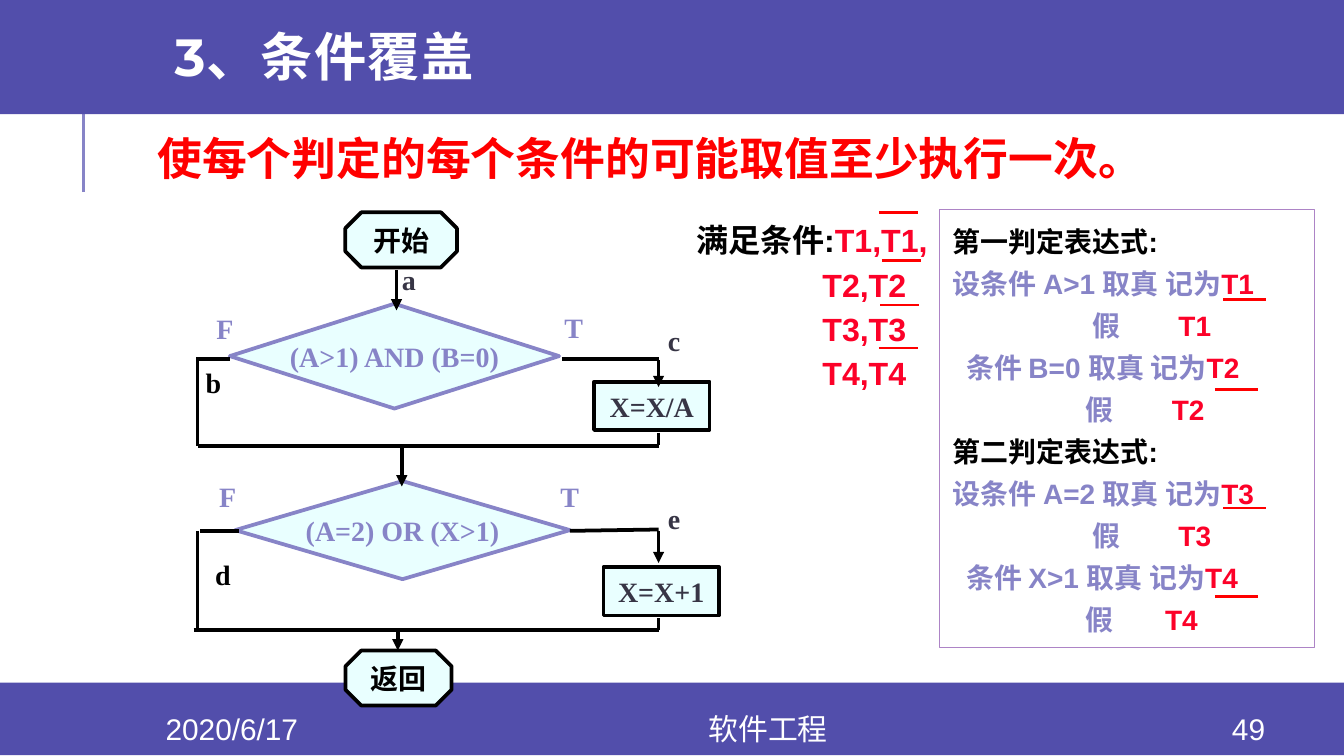
from lxml import etree
from pptx import Presentation
from pptx import util as u
from pptx.dml import color
from pptx.enum import shapes, text
from pptx.oxml import ns

INK = dict(bar="524EAB", rule="8784C7", edge="AD84C6", pale="E9FFFF", dark="373545",
           black="000000", white="FFFFFF", red="FF0000", rose="FC0128")
CJK = "Noto Sans CJK SC"
ROMAN = "Times New Roman"
SLIM = (0.07, 0.04)
KIND = shapes.MSO_SHAPE
LEFT, MID, JUST = text.PP_ALIGN.LEFT, text.PP_ALIGN.CENTER, text.PP_ALIGN.JUSTIFY


def rgb(name):
    return color.RGBColor.from_string(INK[name])


def inch(*nums):
    return [u.Inches(n) for n in nums]


def add_run(para, words, hue, size, face="Arial", bold=True):
    run = para.add_run()
    run.text = words
    font = run.font
    font.size, font.bold, font.name = u.Pt(size), bold, face
    font.color.rgb = rgb(hue)
    props = run._r.get_or_add_rPr()
    etree.SubElement(props, ns.qn("a:ea")).set("typeface", CJK)
    return props


def set_frame(shape, pad=(0.1, 0.05), anchor="TOP", wrap=True):
    frame = shape.text_frame
    frame.word_wrap = wrap
    frame.auto_size = text.MSO_AUTO_SIZE.NONE
    frame.vertical_anchor = getattr(text.MSO_ANCHOR, anchor)
    frame.margin_left = frame.margin_right = u.Inches(pad[0])
    frame.margin_top = frame.margin_bottom = u.Inches(pad[1])
    return frame


def add_text(slide, box, **look):
    return set_frame(slide.shapes.add_textbox(*inch(*box)), **look)


def next_para(frame, index, spacing, indent=0, tabs=()):
    para = frame.add_paragraph() if index else frame.paragraphs[0]
    para.alignment, para.line_spacing = LEFT, spacing
    props = para._p.get_or_add_pPr()
    if indent:
        props.set("marL", str(u.Inches(indent)))
    if tabs:
        stops = etree.SubElement(props, ns.qn("a:tabLst"))
        for stop in tabs:
            tab = etree.SubElement(stops, ns.qn("a:tab"))
            tab.set("pos", str(u.Inches(stop)))
            tab.set("algn", "l")
    return para


def add_box(slide, kind, box, fill=None, edge=None, width=2):
    shape = slide.shapes.add_shape(kind, *inch(*box))
    shape.shadow.inherit = False
    if fill:
        shape.fill.solid()
        shape.fill.fore_color.rgb = rgb(fill)
    else:
        shape.fill.background()
    if edge:
        shape.line.color.rgb = rgb(edge)
        shape.line.width = u.Pt(width)
    else:
        shape.line.fill.background()
    return shape


def add_line(slide, ends, hue, width, arrow=False):
    line = slide.shapes.add_connector(shapes.MSO_CONNECTOR.STRAIGHT, *inch(*ends))
    line.line.color.rgb = rgb(hue)
    line.line.width = u.Pt(width)
    if arrow:
        tail = etree.SubElement(line.line._get_or_add_ln(), ns.qn("a:tailEnd"))
        tail.set("type", "triangle")
    etree.SubElement(line._element.spPr, ns.qn("a:effectLst"))


def add_bars(slide, left, top, size, spots):
    """Draw the red negation bars over condition names."""
    for x, y in spots:
        add_line(slide, (left + x, top + y, left + x + size, top + y), "red", 1.5)


def head(slide, left, top, width, height):
    add_line(slide, (left + 0.62, top + 1.46, left + 0.62, top + 0.71), "rule", 1.5)
    add_box(slide, KIND.RECTANGLE, (left, top, width, height), "bar")
    title = add_text(slide, (left + 1.2, top + 0.03, 8.49, 0.91), anchor="MIDDLE")
    para = next_para(title, 0, 0.8)
    add_run(para, "3、条件覆盖", "white", 28, "Montserrat").set("spc", "80")
    lead = add_text(slide, (left + 1.1, top + 0.92, 7.71, 1.2), pad=SLIM)
    para = next_para(lead, 0, 1.1)
    para.alignment = JUST
    add_run(para, "使每个判定的每个条件的可能取值至少执行一次。", "red", 24)
    add_bars(slide, left, top, 0.29, [(5.53, 1.29)])


def foot(slide, left, top, width, height):
    add_box(slide, KIND.RECTANGLE, (left, top, width, height), "bar")
    for x, wide, words in ((0.84, 1.77, "2020/6/17"), (2.61, 6.21, "软件工程"), (8.89, 0.8, "49")):
        frame = add_text(slide, (left + x, top + 0.23, wide, 0.23), anchor="MIDDLE")
        para = frame.paragraphs[0]
        para.alignment = MID
        add_run(para, words, "white", 16, bold=False)


def chart(slide, left, top):
    """Draw the flow chart with its two decisions."""
    cap = (KIND.OCTAGON, "black", "black", CJK)
    test = (KIND.DIAMOND, "rule", "rule", ROMAN)
    step = (KIND.RECTANGLE, "black", "dark", ROMAN)
    nodes = [
        (cap, 1.13, 0, 0.83, 0.41, "开始"),
        (test, 0.27, 0.68, 2.45, 0.78, "(A>1) AND (B=0)"),
        (test, 0.31, 2, 2.49, 0.73, "(A=2) OR (X>1)"),
        (cap, 1.13, 3.26, 0.79, 0.41, "返回"),
        (step, 2.98, 1.26, 0.86, 0.36, "X=X/A"),
        (step, 3.05, 2.64, 0.86, 0.36, "X=X+1"),
    ]
    for (kind, edge, hue, face), x, y, wide, high, words in nodes:
        node = add_box(slide, kind, (left + x, top + y, wide, high), "pale", edge)
        if kind == KIND.OCTAGON:
            node.adjustments[0] = 0.29
        para = set_frame(node, anchor="MIDDLE", wrap=False).paragraphs[0]
        para.alignment = MID
        add_run(para, words, hue, 15, face)

    west, east = 0.03, 3.46
    arrows = [
        (1.51, 0.43, 1.51, 0.73), (1.55, 1.74, 1.55, 2.04), (1.52, 3.11, 1.52, 3.26),
        (east, 1.1, east, 1.3), (east, 2.37, east, 2.61),
    ]
    plain = [
        (0.27, 1.09, 0.02, 1.09), (west, 1.1, west, 1.74), (west, 1.74, east, 1.74),
        (east, 1.64, east, 1.73), (2.74, 1.09, east, 1.09),
        (0.34, 2.37, 0.05, 2.37), (west, 2.37, west, 3.09), (0, 3.11, east, 3.11),
        (east, 3.02, east, 3.11), (2.8, 2.37, east, 2.36),
    ]
    for group, arrow in ((plain, False), (arrows, True)):
        for x, y, x2, y2 in group:
            add_line(slide, (left + x, top + y, left + x2, top + y2), "black", 2, arrow)

    marks = [
        ("F", 0.1, 0.7, 0.32, "rule"), ("F", 0.12, 1.95, 0.32, "rule"),
        ("T", 2.69, 0.69, 0.35, "rule"), ("T", 2.66, 1.95, 0.38, "rule"),
        ("a", 1.48, 0.33, 0.34, "dark"), ("b", 0.02, 1.1, 0.37, "black"),
        ("d", 0.09, 2.53, 0.22, "black"), ("c", east, 0.79, 0.21, "dark"),
        ("e", east, 2.11, 0.28, "dark"),
    ]
    for words, x, y, wide, hue in marks:
        frame = add_text(slide, (left + x, top + y, wide, 0.33), pad=SLIM)
        add_run(frame.paragraphs[0], words, hue, 15, ROMAN)


def goals(slide, left, top, width, height):
    """List the conditions to be met."""
    frame = add_text(slide, (left, top, width, height), pad=SLIM)
    para = next_para(frame, 0, 1.15)
    add_run(para, "满足条件:", "black", 17.2)
    add_run(para, "T1,T1,", "rose", 17.2)
    for i in (2, 3, 4):
        add_run(next_para(frame, i, 1.15, 0.94), f"T{i},T{i}", "rose", 17.2)
    add_bars(slide, left, top, 0.29, [(1.43, 0.02), (1.45, 0.38), (1.44, 0.71), (1.43, 1.03)])


def panel(slide, left, top, width, height):
    """Define T1 to T4 from the two decisions."""
    shape = add_box(slide, KIND.RECTANGLE, (left, top, width, height), None, "edge", 0.75)
    frame = set_frame(shape)
    rows = []
    for title, pair in (("第一判定表达式:", (("A>1", "T1"), ("B=0", "T2"))),
                        ("第二判定表达式:", (("A=2", "T3"), ("X>1", "T4")))):
        rows.append((0, (), [(title, "black")]))
        for i, (term, name) in enumerate(pair):
            start = "条件" if i else "设条件"
            stops = (0.99, 1.58 if name == "T4" else 1.63) if i else (1.04, 1.68)
            rows.append((0.1 * i, (), [(f"{start} {term} 取真 记为", "rule"), (name, "rose")]))
            rows.append((0, stops, [("\t假\t", "rule"), (name, "rose")]))
    for i, (indent, stops, runs) in enumerate(rows):
        para = next_para(frame, i, 1.25, indent, stops)
        for words, hue in runs:
            add_run(para, words, hue, 15)
    add_bars(slide, left, top, 0.32, [(2.11, 0.67), (2.05, 1.34), (2.11, 2.22), (2.05, 2.88)])


def main():
    deck = Presentation()
    deck.slide_width, deck.slide_height = inch(10, 10 * 9 / 16)
    slide = deck.slides.add_slide(deck.slide_layouts[6])
    foot(slide, 0, 5.08, 10, 0.54)
    head(slide, 0, -0.03, 10, 0.88)
    chart(slide, 1.44, 1.58)
    goals(slide, 5.11, 1.56, 2.64, 1.41)
    panel(slide, 6.99, 1.56, 2.79, 3.26)
    deck.save("out.pptx")


if __name__ == "__main__":
    main()
